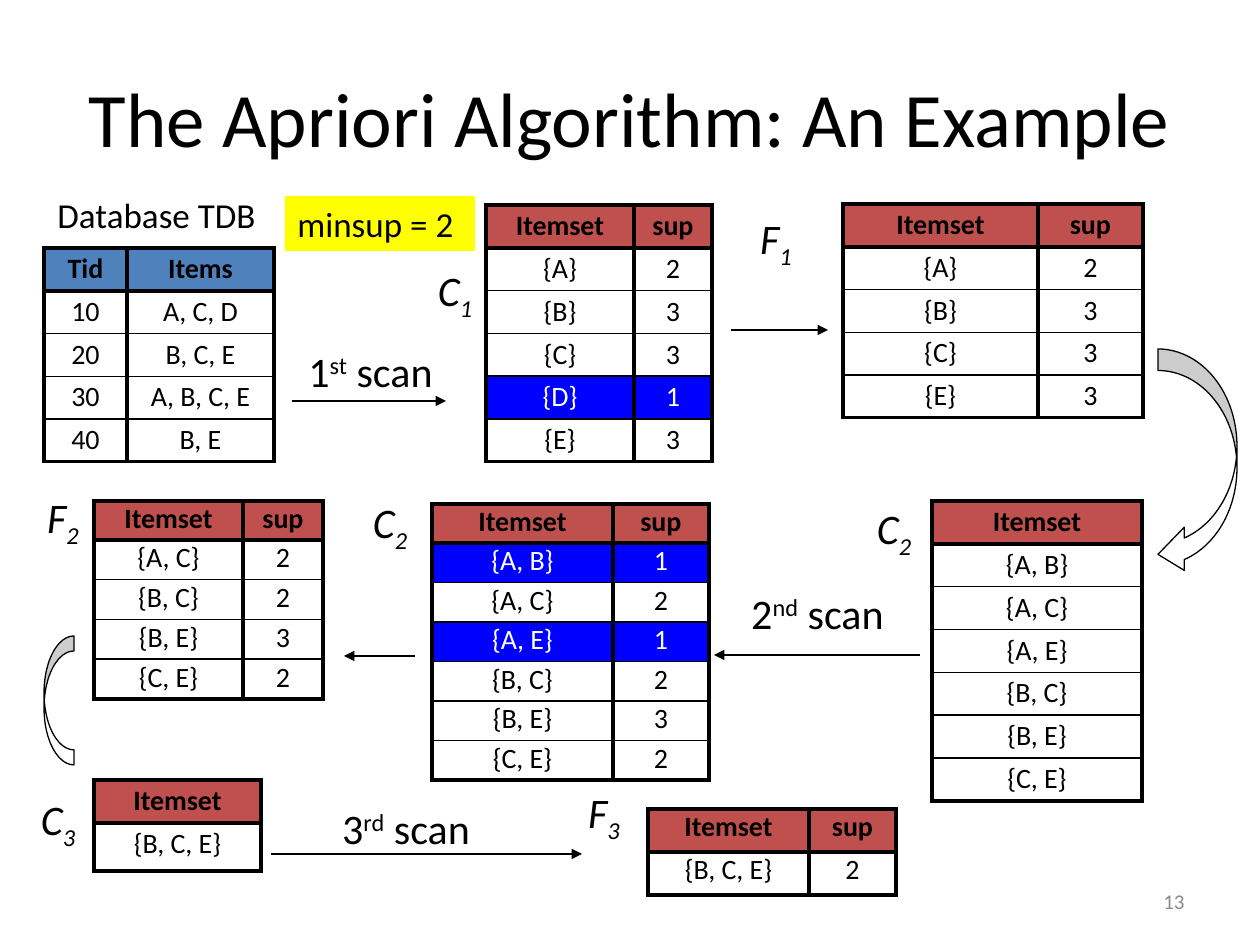
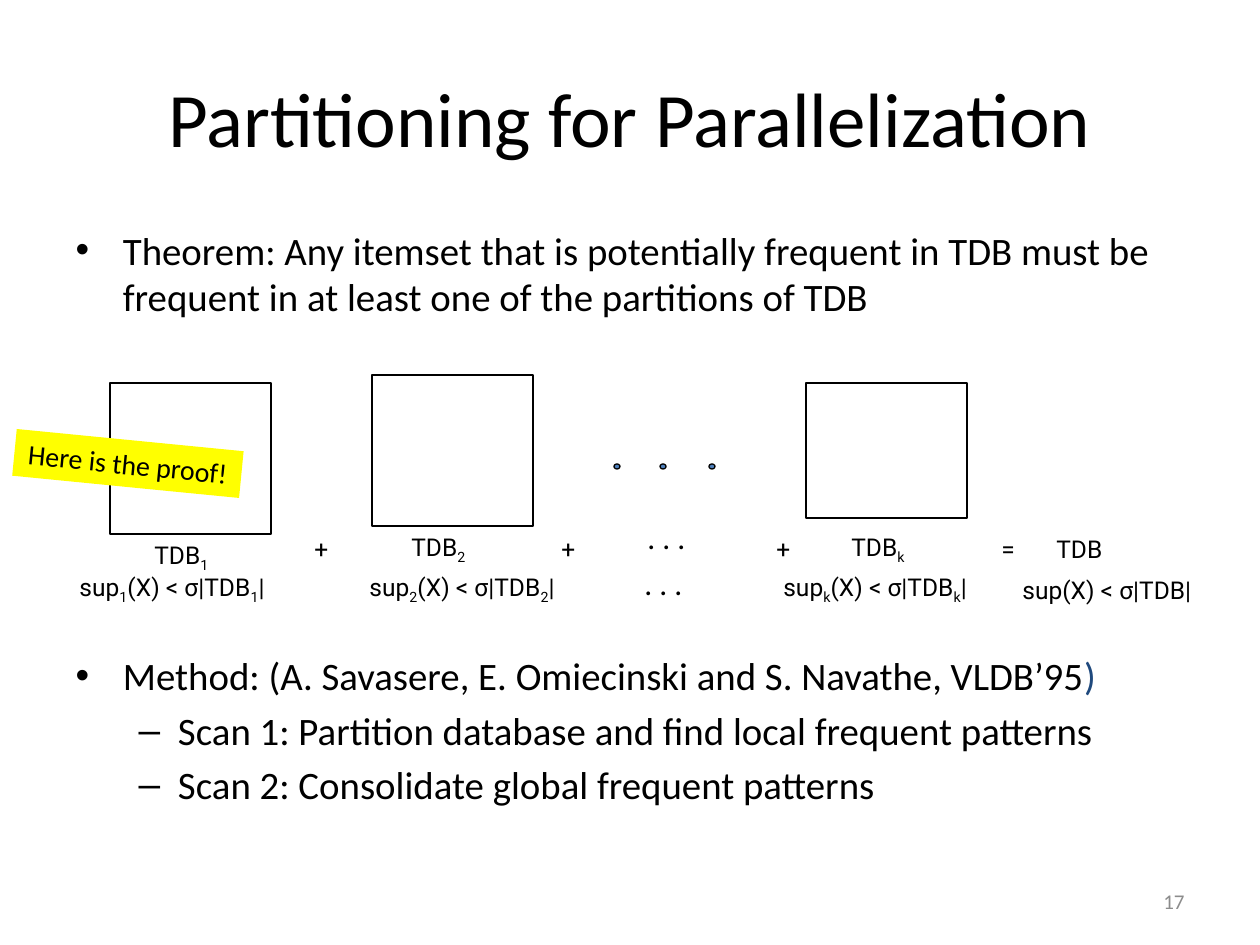
"""Builds two slides: the Apriori example and partitioning for parallelization."""
from lxml import etree
from pptx import Presentation
from pptx import util as u
from pptx.dml.color import RGBColor
from pptx.enum import shapes, text
from pptx.oxml.ns import qn

PX = 7257
BLACK, WHITE, GREY = "000000", "FFFFFF", "8C8C8C"
RED, BLUE, YELLOW, REJECTED, NAVY = "C0504D", "4F81BD", "FFFF00", "0000FF", "1F497D"
LEFT, CENTER, RIGHT = text.PP_ALIGN.LEFT, text.PP_ALIGN.CENTER, text.PP_ALIGN.RIGHT
SUB, SUPER = "-25000", "30000"


def color(target, hex_string):
    """Give a fill or a font a solid colour."""
    if hasattr(target, "solid"):
        target.solid()
        target.fore_color.rgb = RGBColor.from_string(hex_string)
    else:
        target.color.rgb = RGBColor.from_string(hex_string)


def label(slide, box, words, size, align=CENTER, font="Calibri", ink=BLACK,
          italic=False, shift=SUB, back=None):
    """Add a text box; parts between tildes are raised or lowered by shift."""
    note = slide.shapes.add_textbox(*(PX * v for v in box))
    frame = note.text_frame
    frame.word_wrap = align != CENTER
    frame.vertical_anchor = text.MSO_ANCHOR.MIDDLE
    line = frame.paragraphs[0]
    line.alignment = align
    for position, part in enumerate(words.split("~")):
        if part:
            run = line.add_run()
            run.text = part
            run.font.size, run.font.name, run.font.italic = u.Pt(size), font, italic
            color(run.font, ink)
            if position % 2:
                run.font._element.set("baseline", shift)
    if back:
        color(note.fill, back)
    return note


deck = Presentation()
deck.slide_width, deck.slide_height = u.Inches(10), u.Inches(7.5)

pages = []
for layout, heading, number in [(5, "The Apriori Algorithm: An Example", "13"),
                                (1, "Partitioning for Parallelization", "17")]:
    page = deck.slides.add_slide(deck.slide_layouts[layout])
    title = page.shapes.title
    title.left, title.top, title.width, title.height = (PX * v for v in (63, 38, 1134, 157))
    title.text_frame.text = heading
    title.text_frame.vertical_anchor = text.MSO_ANCHOR.MIDDLE
    title.text_frame.paragraphs[0].alignment = CENTER
    heading_font = title.text_frame.paragraphs[0].runs[0].font
    heading_font.size, heading_font.name = u.Pt(44), "Calibri"
    color(heading_font, BLACK)
    label(page, (903, 876, 294, 50), number, 12, RIGHT, ink=GREY)
    pages.append(page)
example, partitioning = pages

label(example, (40, 187, 233, 55), "Database TDB", 20)
for left, top, width, words in [(295, 339, 151, "1~st~ scan"),
                                (735, 581, 165, "2~nd~ scan"),
                                (328, 796, 156, "3~rd~ scan")]:
    label(example, (left, top, width, 63), words, 24, shift=SUPER)
for left, top, words in [(424, 262, "C~1~"), (745, 210, "F~1~"), (32, 489, "F~2~"),
                         (359, 494, "C~2~"), (863, 500, "C~2~"), (27, 791, "C~3~"),
                         (573, 784, "F~3~")]:
    label(example, (left, top, 62, 63), words, 24, italic=True)

for start, end, level in [(292, 446, 401), (920, 714, 655), (271, 582, 854),
                          (731, 828, 330), (415, 344, 656)]:
    arrow = example.shapes.add_connector(shapes.MSO_CONNECTOR.STRAIGHT,
                                         PX * start, PX * level, PX * end, PX * level)
    color(arrow.line.fill, BLACK)
    arrow.line.width = u.Pt(0.75)
    etree.SubElement(arrow.line._get_or_add_ln(), qn("a:tailEnd"), type="triangle")
    etree.SubElement(arrow._element.spPr, qn("a:effectLst"))

for preset, box, bends in [
        (shapes.MSO_SHAPE.CURVED_LEFT_ARROW, (1158, 349, 79, 227), (0.273, 0.546, 0.333)),
        (shapes.MSO_SHAPE.CURVED_RIGHT_ARROW, (44, 636, 30, 129), (0.566, 0.5, 0))]:
    turn = example.shapes.add_shape(preset, *(PX * v for v in box))
    for position, bend in enumerate(bends):
        turn.adjustments[position] = bend
    turn.shadow.inherit = False
    color(turn.fill, WHITE)
    color(turn.line.fill, BLACK)
    turn.line.width = u.Pt(0.75)

itemsets = [
    (44, 248, (83, 147), 43, 214, 0.9, BLUE,
     "Tid;Items/10;A, C, D/20;B, C, E/30;A, B, C, E/40;B, E"),
    (486, 205, (148, 78), 43, 257, 0.9, RED,
     "Itemset;sup/{A};2/{B};3/{C};3/{D};1/{E};3"),
    (843, 204, (195, 105), 43, 214, 0.9, RED, "Itemset;sup/{A};2/{B};3/{C};3/{E};3"),
    (932, 501, (210,), 43, 300, 0.9, RED,
     "Itemset/{A, B}/{A, C}/{A, E}/{B, C}/{B, E}/{C, E}"),
    (432, 504, (181, 96), 39, 276, 0.8, RED,
     "Itemset;sup/{A, B};1/{A, C};2/{A, E};1/{B, C};2/{B, E};3/{C, E};2"),
    (94, 501, (149, 80), 39, 198, 0.8, RED,
     "Itemset;sup/{A, C};2/{B, C};2/{B, E};3/{C, E};2"),
    (94, 780, (167,), 43, 91, 0.9, RED, "Itemset/{B, C, E}"),
    (648, 809, (161, 87), 43, 86, 0.8, RED, "Itemset;sup/{B, C, E};2"),
]
for left, top, widths, header, height, spacing, banner, content in itemsets:
    rows = [row.split(";") for row in content.split("/")]
    last = len(rows) - 1
    grid = example.shapes.add_table(len(rows), len(widths), PX * left, PX * top,
                                    PX * sum(widths), PX * height).table
    grid.first_row = grid.horz_banding = False
    for column, width in zip(grid.columns, widths):
        column.width = PX * width
    for r, row in enumerate(rows):
        grid.rows[r].height = PX * header if r == 0 else PX * (height - header) // last
        rejected = row[-1] == "1"
        for c, value in enumerate(row):
            cell = grid.cell(r, c)
            cell.margin_left = cell.margin_right = PX * 16
            cell.margin_top = cell.margin_bottom = PX * 6
            cell.text_frame.text = value
            line = cell.text_frame.paragraphs[0]
            line.alignment, line.line_spacing = CENTER, spacing
            font = line.runs[0].font
            font.size, font.name, font.bold = u.Pt(16), "Calibri", r == 0
            color(font, WHITE if rejected else BLACK)
            edges = {"L": 2.25, "R": 2.25, "T": 2.25 if r < 2 else 1,
                     "B": 2.25 if r in (0, last) else 1}
            for side, points in edges.items():
                border = etree.SubElement(cell._tc.get_or_add_tcPr(), qn("a:ln" + side),
                                          w=str(u.Pt(points)))
                ink = etree.SubElement(border, qn("a:solidFill"))
                etree.SubElement(ink, qn("a:srgbClr"), val=BLACK)
            if r == 0 or rejected:
                color(cell.fill, REJECTED if rejected else banner)
            else:
                cell.fill.background()
label(example, (285, 196, 190, 55), "minsup = 2", 20, LEFT, back=YELLOW)

body = partitioning.placeholders[1]
body.left, body.top, body.width, body.height = (PX * v for v in (63, 220, 1134, 624))
points = [
    (0, "Theorem: Any itemset that is potentially frequent in TDB must be "
        "frequent in at least one of the partitions of TDB"),
    (0, "Method: (A. Savasere, E. Omiecinski and S. Navathe, VLDB’95"),
    (1, "Scan 1: Partition database and find local frequent patterns"),
    (1, "Scan 2: Consolidate global frequent patterns"),
]
body.text_frame.text = "\n".join(words for level, words in points)
body.text_frame.auto_size = text.MSO_AUTO_SIZE.NONE
theorem, method, *scans = body.text_frame.paragraphs
method.space_before = u.Pt(190)
method.add_run().text = ")"
for paragraph, (level, words) in zip(body.text_frame.paragraphs, points):
    paragraph.level = level
    for run in paragraph.runs:
        run.font.size, run.font.name = u.Pt(22.2), "Calibri"
        color(run.font, BLACK)
color(method.runs[-1].font, NAVY)

partitions = [(110, 383, 151), (372, 375, 151), (806, 383, 135)]
dots = [(614, 464), (660, 464), (709, 464)]
outlines = [(shapes.MSO_SHAPE.RECTANGLE, x, y, 161, h, None) for x, y, h in partitions]
outlines += [(shapes.MSO_SHAPE.OVAL, x, y, 6, 5, BLUE) for x, y in dots]
for preset, left, top, width, height, inside in outlines:
    outline = partitioning.shapes.add_shape(preset, PX * left, PX * top,
                                            PX * width, PX * height)
    outline.shadow.inherit = False
    color(outline.line.fill, BLACK)
    outline.line.width = u.Pt(0.75)
    if inside:
        color(outline.fill, inside)
    else:
        outline.fill.background()

for left, top, width, words in [
        (142, 535, 107, "TDB~1~"), (399, 527, 107, "TDB~2~"), (839, 527, 97, "TDB~k~"),
        (302, 527, 33, "+"), (549, 527, 33, "+"), (764, 527, 33, "+"),
        (989, 527, 40, "="), (1044, 527, 100, "TDB"),
        (67, 567, 257, "sup~1~(X) < σ|TDB~1~|"), (357, 567, 257, "sup~2~(X) < σ|TDB~2~|"),
        (771, 567, 226, "sup~k~(X) < σ|TDB~k~|"), (1010, 568, 236, "sup(X) < σ|TDB|")]:
    label(partitioning, (left, top, width, 43), words, 14, LEFT, "Roboto")
proof = label(partitioning, (14, 440, 228, 47), "Here is the proof!", 16, back=YELLOW)
proof.rotation = 5.6
for left, top in [(635, 512), (632, 558)]:
    label(partitioning, (left, top, 86, 50), ". . .", 18, LEFT)

deck.save("out.pptx")
